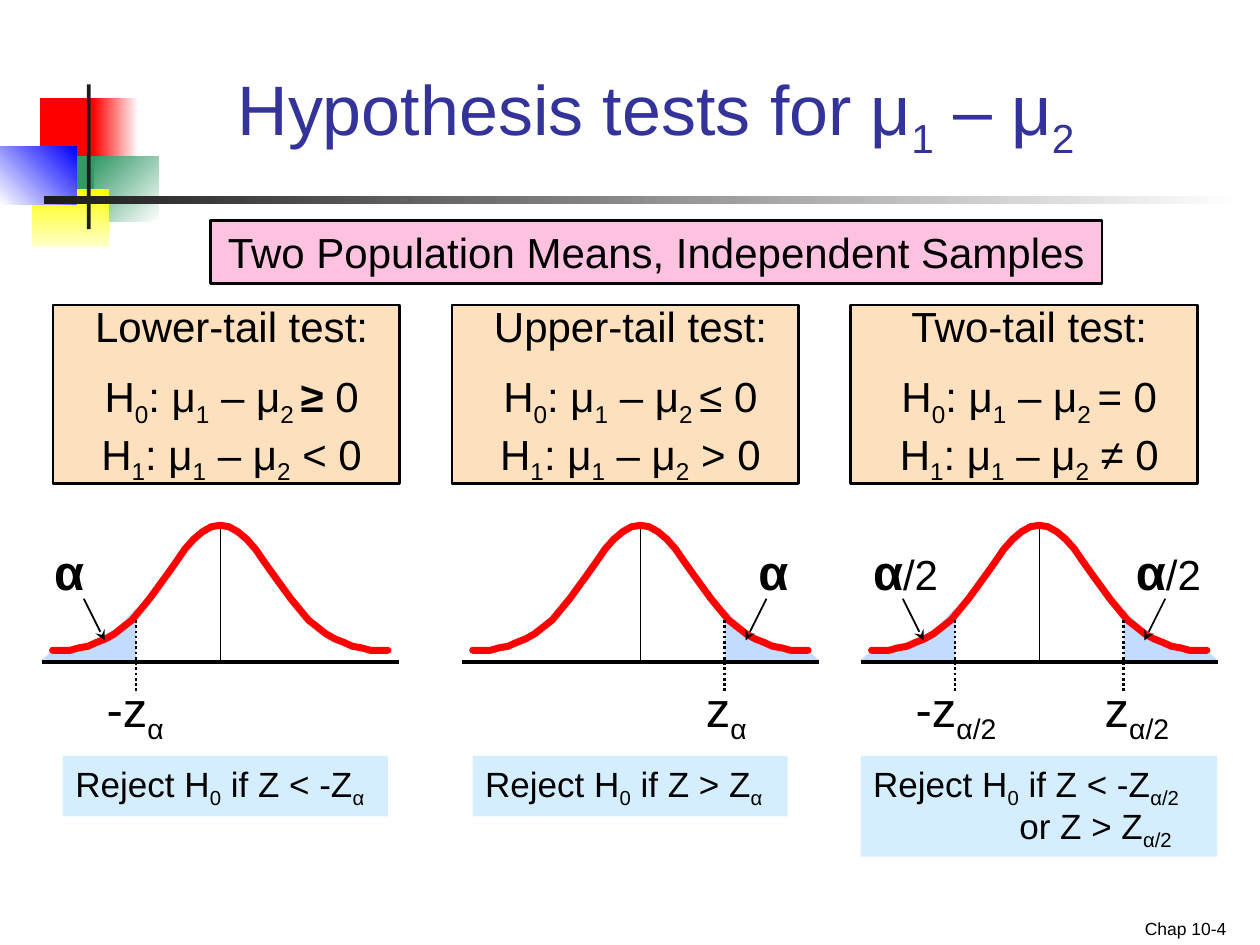
import lxml.etree
import pptx
import pptx.dml.color
import pptx.enum.dml
import pptx.enum.shapes
import pptx.enum.text
import pptx.oxml.ns
import pptx.util

Cm, Pt = pptx.util.Cm, pptx.util.Pt
RGB = pptx.dml.color.RGBColor.from_string
qn = pptx.oxml.ns.qn
RECT = pptx.enum.shapes.MSO_SHAPE.RECTANGLE
STRAIGHT = pptx.enum.shapes.MSO_CONNECTOR.STRAIGHT
ALIGN = pptx.enum.text.PP_ALIGN
ANCHOR = pptx.enum.text.MSO_ANCHOR
DOTTED = pptx.enum.dml.MSO_LINE.ROUND_DOT


class Theme:
    font = "Arial"
    ink, title, curve = RGB("000000"), RGB("333399"), RGB("FF0000")
    banner, hypothesis = RGB("FCC2E0"), RGB("FDE0BD")
    tail, decision = RGB("C3DBFF"), RGB("D5EEFF")
    title_size, label_size, body_size = Pt(40), Pt(28), Pt(24)
    decision_size, footer_size = Pt(20), Pt(10)


prs = pptx.Presentation()
prs.slide_width, prs.slide_height = Cm(25.4), Cm(19.05)
s = prs.slides.add_slide(prs.slide_layouts[6])


def add_text(x, y, w, h, lines, size, color=Theme.ink, align=ALIGN.LEFT,
             anchor=ANCHOR.TOP, fill=None):
    """Runs are split at "|"; a leading "_" marks a subscript, "*" bold."""
    if fill is None:
        sp = s.shapes.add_textbox(Cm(x), Cm(y), Cm(w), Cm(h))
    else:
        sp = s.shapes.add_shape(RECT, Cm(x), Cm(y), Cm(w), Cm(h))
        sp.shadow.inherit = False
        sp.fill.solid()
        sp.fill.fore_color.rgb = fill
        sp.line.fill.background()
    tf = sp.text_frame
    tf.word_wrap = True
    tf.vertical_anchor = anchor
    for i, line in enumerate(lines):
        p = tf.add_paragraph() if i else tf.paragraphs[0]
        p.alignment = align
        for piece in line.split("|"):
            r = p.add_run()
            r.text = piece.lstrip("_*")
            r.font.name, r.font.size = Theme.font, size
            r.font.color.rgb = color
            r.font.bold = piece.startswith("*")
            if piece.startswith("_"):
                r.font._element.set("baseline", "-25000")
    return sp


def add_line(x1, y1, x2, y2, width, dash=None, arrow=False):
    cx = s.shapes.add_connector(STRAIGHT, Cm(x1), Cm(y1), Cm(x2), Cm(y2))
    cx.line.color.rgb = Theme.ink
    cx.line.width = Pt(width)
    if dash:
        cx.line.dash_style = dash
    spPr = cx.element.spPr
    if arrow:
        lxml.etree.SubElement(spPr.find(qn("a:ln")), qn("a:tailEnd"), type="stealth")
    lxml.etree.SubElement(spPr, qn("a:effectLst"))


# Corner ornament and title rule: left, top, width, height, colours, angle
ornament = [
    (0.81, 1.98, 1.22, 1.32, ["FF0000"], 0),
    (1.88, 1.98, 0.91, 1.32, ["FF0000", "FFFFFF"], 0),
    (1.9, 3.15, 1.3, 1.32, ["339966", "FFFFFF"], 315),
    (1.09, 3.15, 0.81, 1.32, ["339966"], 0),
    (0.64, 3.81, 1.55, 1.17, ["FFFF00", "FFFFCC"], 270),
    (0, 2.95, 1.55, 1.17, ["FFFFFF", "0000FF"], 45),
    (1.75, 1.7, 0.08, 2.92, ["1C1C1C"], 0),
    (0.89, 3.96, 24.16, 0.15, ["1C1C1C", "FFFFFF"], 0),
]
for x, y, w, h, colors, angle in ornament:
    sp = s.shapes.add_shape(RECT, Cm(x), Cm(y), Cm(w), Cm(h))
    sp.shadow.inherit = False
    sp.line.fill.background()
    if len(colors) == 1:
        sp.fill.solid()
        sp.fill.fore_color.rgb = RGB(colors[0])
    else:
        sp.fill.gradient()
        sp.fill.gradient_angle = angle
        for stop, color in zip(sp.fill.gradient_stops, colors):
            stop.color.rgb = RGB(color)

add_text(3.18, 0.84, 20.09, 2.54, ["Hypothesis tests for μ|_1| – μ|_2"],
         Theme.title_size, Theme.title, ALIGN.CENTER, ANCHOR.BOTTOM)
banner = add_text(4.24, 4.45, 17.98, 1.27, ["Two Population Means, Independent Samples"],
                  Theme.body_size, align=ALIGN.CENTER, fill=Theme.banner)
banner.line.color.rgb = Theme.ink
banner.line.width = Pt(1.5)
add_text(19.05, 18.16, 5.92, 0.89, ["Chap 10-4"], Theme.footer_size,
         align=ALIGN.RIGHT, anchor=ANCHOR.BOTTOM)

# Half a bell, from the foot to the peak: steps from the centre, height on slide
HALF_WIDTH, STEPS = 3.38, 19
bell = [(19, 13.11), (17, 13.11), (16, 13.06), (15, 13.03), (14, 12.95), (13, 12.88),
        (12, 12.78), (10, 12.5), (8, 12.07), (6, 11.58), (5, 11.33), (4, 11.07),
        (3, 10.87), (2, 10.72), (1, 10.62), (0, 10.59)]
PEAK, BASE, AXIS_HALF, CUT = 10.59, 13.34, 3.6, 1.7
tail_area = [(AXIS_HALF, 13.31), (3.43, 13.16), (2.79, 13.03), (2.46, 12.93),
             (2.08, 12.67), (CUT, 12.27), (CUT, BASE), (AXIS_HALF, BASE)]

# Tails: side, alpha text, its offset and width, z text, its offset, arrow start
panels = [
    dict(centre=4.44, name="Lower-tail test:", h0="*≥| 0", h1=" < 0",
         tails=[(-1, "*α", -3.6, 1.07, "-z|_α", -2.54, 2.75)],
         decision=(1.27, 6.55, 1.22, ["Reject H|_0| if Z < -Z|_α"])),
    dict(centre=12.91, name="Upper-tail test:", h0="≤ 0", h1=" > 0",
         tails=[(1, "*α", 2.13, 1.07, "z|_α", 1.07, 2.54)],
         decision=(9.53, 6.35, 1.22, ["Reject H|_0| if Z > Z|_α"])),
    dict(centre=20.95, name="Two-tail test:", h0="= 0", h1=" ≠ 0",
         tails=[(-1, "*α|/2", -3.6, 2.34, "-z|_α/2", -2.74, 2.75),
                (1, "*α|/2", 1.7, 2.34, "z|_α/2", 1.07, 2.54)],
         decision=(17.35, 7.19, 2.03,
                   ["Reject H|_0| if Z < -Z|_α/2", "or Z > Z|_α/2"])),
]
for i, panel in enumerate(panels):
    c = panel["centre"]
    box_left = 1.07 + 8.04 * i

    box = s.shapes.add_shape(RECT, Cm(box_left), Cm(6.15), Cm(6.99), Cm(3.6))
    box.shadow.inherit = False
    box.fill.solid()
    box.fill.fore_color.rgb = Theme.hypothesis
    box.line.color.rgb = Theme.ink
    box.line.width = Pt(1.5)
    hypotheses = add_text(
        box_left - 0.21, 5.93, 7.62, 4.02,
        [panel["name"], "H|_0|: μ|_1| – μ|_2 |" + panel["h0"],
         "H|_1|: μ|_1| – μ|_2|" + panel["h1"]],
        Theme.body_size, align=ALIGN.CENTER)
    hypotheses.text_frame.paragraphs[1].space_before = Pt(11.5)

    add_line(c, PEAK, c, BASE, 0.75)
    for side, *_ in panel["tails"]:
        points = [(Cm(c + side * dx), Cm(y)) for dx, y in tail_area]
        fb = s.shapes.build_freeform(*points[0])
        fb.add_line_segments(points[1:], close=True)
        sp = fb.convert_to_shape()
        sp.shadow.inherit = False
        sp.fill.solid()
        sp.fill.fore_color.rgb = Theme.tail
        sp.line.fill.background()
    for side in (-1, 1):
        points = [(Cm(c + side * HALF_WIDTH * n / STEPS), Cm(y)) for n, y in bell]
        fb = s.shapes.build_freeform(*points[0])
        fb.add_line_segments(points[1:], close=False)
        sp = fb.convert_to_shape()
        sp.shadow.inherit = False
        sp.fill.background()
        sp.line.color.rgb = Theme.curve
        sp.line.width = Pt(4)
        sp.element.spPr.find(qn("a:ln")).set("cap", "rnd")
    add_line(c - AXIS_HALF, BASE, c + AXIS_HALF, BASE, 2)

    for side, alpha, alpha_dx, alpha_w, z, z_dx, start in panel["tails"]:
        label = add_text(c + alpha_dx, 10.8, alpha_w, 1.42, [alpha], Theme.label_size)
        for r in label.text_frame.paragraphs[0].runs[1:]:
            r.font.size = Theme.body_size
        add_line(c + side * start, 12.07, c + side * (start - 0.42), 12.91, 1, arrow=True)
        add_text(c + z_dx, 13.55, 2.75, 1.6, [z], Theme.label_size)
        add_line(c + side * CUT, 12.5, c + side * CUT, 13.97, 1.5, dash=DOTTED)

    left, width, height, lines = panel["decision"]
    decision = add_text(left, 15.24, width, height, lines, Theme.decision_size,
                        fill=Theme.decision)
    for p in decision.text_frame.paragraphs[1:]:
        p.line_spacing = Pt(24)
        p._p.get_or_add_pPr().set("marL", str(Cm(2.95)))

prs.save("out.pptx")
